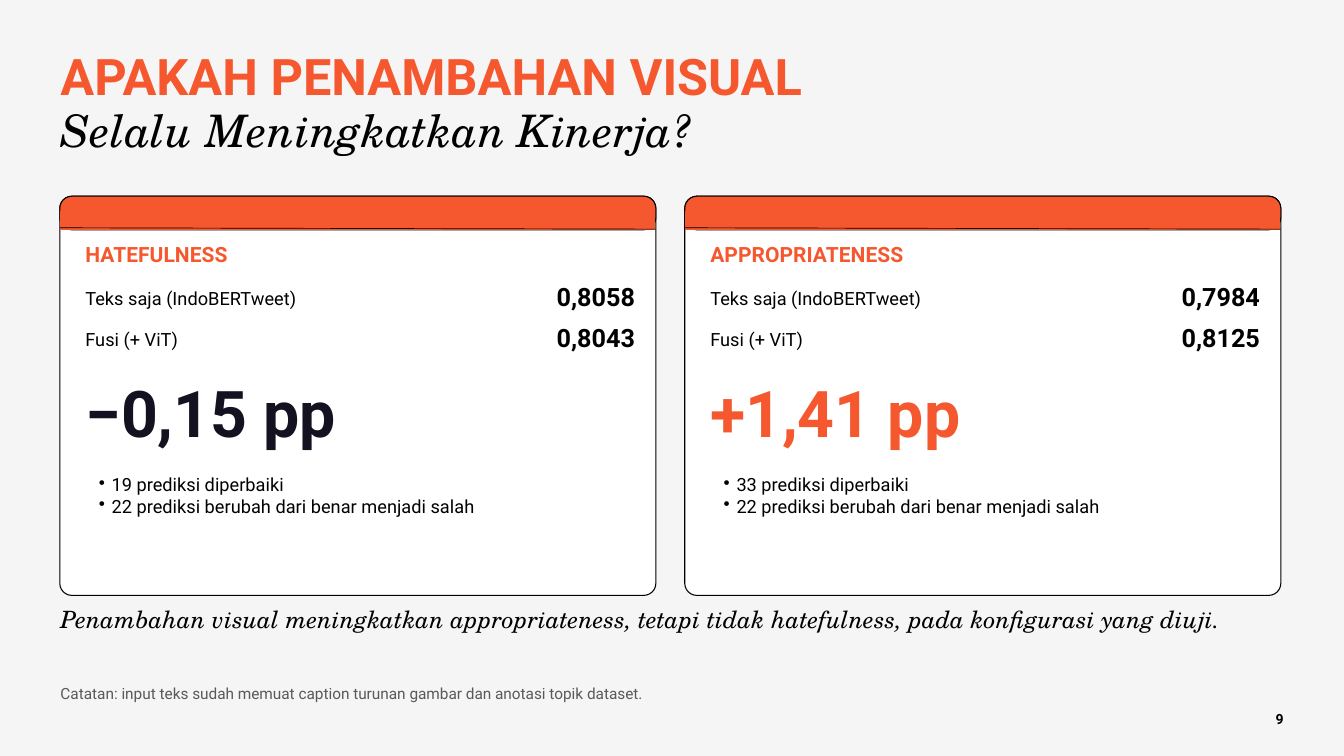
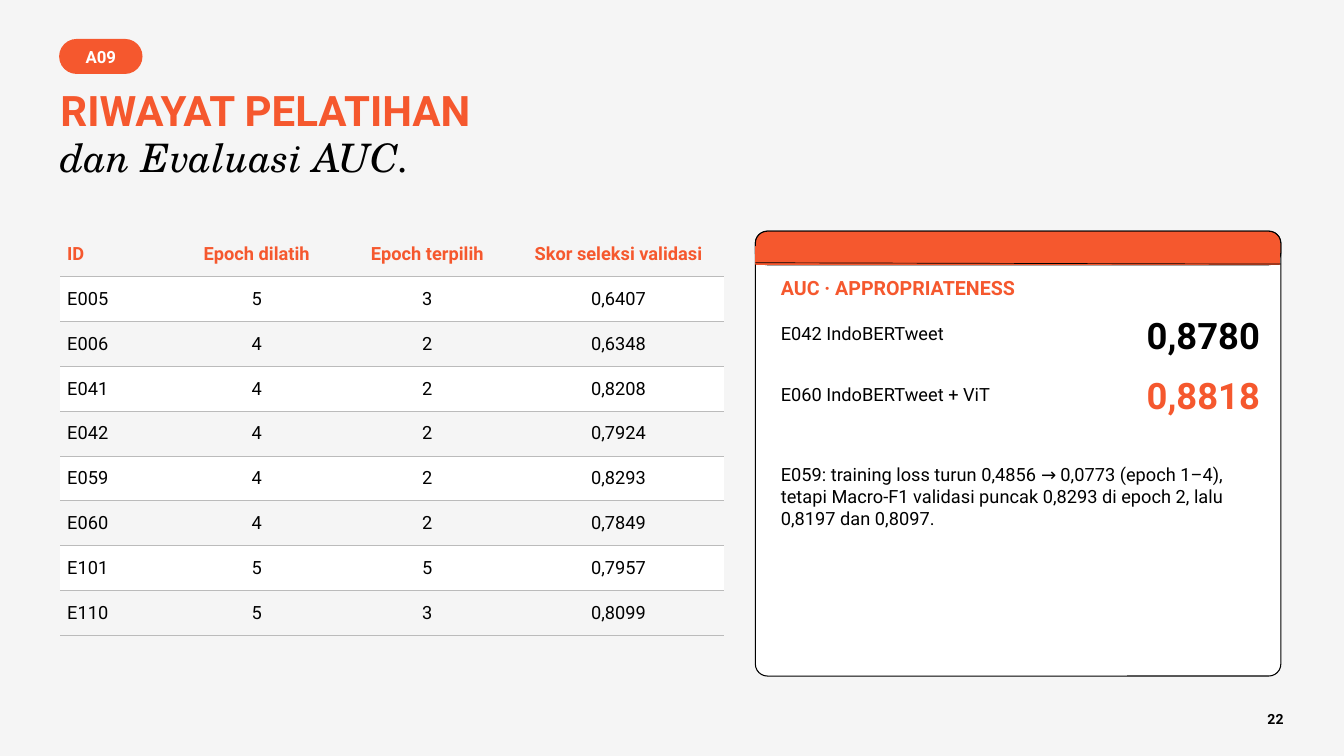
from lxml.etree import SubElement
from pptx import Presentation
from pptx.dml.color import RGBColor
from pptx.enum.shapes import MSO_CONNECTOR as Connector, MSO_SHAPE as Preset
from pptx.enum.text import MSO_ANCHOR as Anchor, MSO_AUTO_SIZE as AutoSize, PP_ALIGN as Align
from pptx.oxml.ns import qn
from pptx.util import Inches, Pt

COLORS = {
    "page": "F5F5F5", "accent": "F5582E", "ink": "000000", "night": "141221",
    "white": "FFFFFF", "muted": "595959", "rule": "BBBBBB",
}
SANS, SERIF = "Roboto", "TeX Gyre Schola"
STYLES = {
    "sans": {"name": SANS, "bold": False, "italic": False},
    "strong": {"name": SANS, "bold": True, "italic": False},
    "serif": {"name": SERIF, "bold": False, "italic": True},
}
MARGIN, CONTENT_W = 0.9, 18.15
CARD_RIGHT, CARD_PAD, SCORE_PAD = 19.06, 0.38, 0.31
CORNER, BAND_H = 0.18, 0.5
BODY_SIZE = 19.5
BULLET_INDENT, BULLET_HANG = 0.39, 0.19

HISTORY = [
    ("ID", "Epoch dilatih", "Epoch terpilih", "Skor seleksi validasi"),
    ("E005", "5", "3", "0,6407"),
    ("E006", "4", "2", "0,6348"),
    ("E041", "4", "2", "0,8208"),
    ("E042", "4", "2", "0,7924"),
    ("E059", "4", "2", "0,8293"),
    ("E060", "4", "2", "0,7849"),
    ("E101", "5", "5", "0,7957"),
    ("E110", "5", "3", "0,8099"),
]


def rgb(color):
    return RGBColor.from_string(COLORS[color])


def apply(target, values):
    for key, value in values.items():
        setattr(target, key, value)


def write(paragraph, text, size, style="sans", color="ink", align=Align.LEFT, leading=1.2):
    apply(paragraph, {"alignment": align, "line_spacing": Pt(round(size * leading, 1))})
    run = paragraph.add_run()
    run.text = text
    apply(run.font, {**STYLES[style], "size": Pt(size)})
    run.font.color.rgb = rgb(color)


def add_bullet(paragraph):
    paragraph.level = 1
    properties = paragraph._p.get_or_add_pPr()
    properties.set("marL", str(Inches(BULLET_INDENT)))
    properties.set("indent", str(-Inches(BULLET_HANG)))
    SubElement(properties, qn("a:buChar"), char="•")


def add_text(slide, box, lines, bullets=False, **look):
    frame = slide.shapes.add_textbox(*map(Inches, box)).text_frame
    apply(frame, {"word_wrap": True, "auto_size": AutoSize.SHAPE_TO_FIT_TEXT,
                  "margin_left": 0, "margin_right": 0, "margin_top": 0, "margin_bottom": 0})
    for index, line in enumerate(lines):
        paragraph = frame.add_paragraph() if index else frame.paragraphs[0]
        if bullets:
            add_bullet(paragraph)
        write(paragraph, **{**look, **line})


def add_label(slide, box, text, size=BODY_SIZE, **look):
    add_text(slide, box, [{"text": text}], size=size, **look)


def add_panel(slide, preset, box, fill, line, line_width, radius=None):
    panel = slide.shapes.add_shape(preset, *map(Inches, box))
    panel.shadow.inherit = False
    panel.fill.solid()
    panel.fill.fore_color.rgb = rgb(fill)
    panel.line.color.rgb = rgb(line)
    panel.line.width = Pt(line_width)
    if radius:
        panel.adjustments[0] = radius / min(box[2:])
    return panel


def add_rule(slide, start, end):
    rule = slide.shapes.add_connector(Connector.STRAIGHT, *map(Inches, start + end))
    rule.line.color.rgb = rgb("ink")
    rule.line.width = Pt(0.75)
    SubElement(rule._element.spPr, qn("a:effectLst"))


def add_card(slide, left, top, width, height, heading, heading_size):
    rounded = Preset.ROUNDED_RECTANGLE
    add_panel(slide, rounded, (left, top, width, height), "white", "ink", 1.13, CORNER)
    add_panel(slide, rounded, (left, top, width, BAND_H), "accent", "ink", 1.13, CORNER)
    add_panel(slide, Preset.RECTANGLE, (left + 0.01, top + 0.23, width - 0.03, 0.26),
              "accent", "accent", 1.5)
    add_rule(slide, (left, top + 0.47), (left + width, top + 0.49))
    add_label(slide, (left + CARD_PAD, top + 0.67, width - 2 * CARD_PAD, 0.46), heading,
              heading_size, style="strong", color="accent")


def add_score(slide, left, right, top, label, score, size, lift, color="ink"):
    score_w = 2.7
    add_label(slide, (left, top, 4.8, 0.45), label)
    add_label(slide, (right - score_w, top - lift, score_w, size * 1.2 / 72 + 0.09), score,
              size, style="strong", color=color, align=Align.RIGHT)


def add_comparison(slide, left, heading, scores, change, change_color, effects):
    top, width = 2.92, 8.87
    inner, inner_w = left + CARD_PAD, 8.1
    add_card(slide, left, top, width, 5.94, heading, 22.5)
    for row, (label, score) in enumerate(zip(("Teks saja (IndoBERTweet)", "Fusi (+ ViT)"), scores)):
        add_score(slide, inner, left + width - SCORE_PAD, 4.28 + 0.6 * row, label, score, 27, 0.09)
    add_label(slide, (inner, 5.55, inner_w, 1.35), change, 69, style="strong", color=change_color)
    add_text(slide, (inner, 7.05, inner_w, 1.35), [{"text": effect} for effect in effects],
             bullets=True, size=BODY_SIZE)


def add_title(slide, top, height, headline, headline_size, subline, subline_size):
    add_text(slide, (MARGIN, top, CONTENT_W, height), [
        {"text": headline, "size": headline_size, "style": "strong", "color": "accent"},
        {"text": subline, "size": subline_size, "style": "serif"},
    ], leading=1.14)


def add_tag(slide, text):
    tag = add_panel(slide, Preset.ROUNDED_RECTANGLE, (0.89, 0.59, 1.22, 0.5),
                    "accent", "accent", 1.5, 0.25)
    frame = tag.text_frame
    apply(frame, {"vertical_anchor": Anchor.MIDDLE, "margin_left": 0, "margin_right": 0,
                  "margin_top": 0, "margin_bottom": 0})
    write(frame.paragraphs[0], text, 18, "strong", "white", Align.CENTER)


def set_borders(cell, ruled_edges):
    properties = cell._tc.get_or_add_tcPr()
    for edge in ("lnL", "lnR", "lnT", "lnB"):
        ruled = edge in ruled_edges
        border = SubElement(properties, qn(f"a:{edge}"), w=str(Pt(0.5) if ruled else 0))
        fill = SubElement(border, qn("a:solidFill" if ruled else "a:noFill"))
        if ruled:
            SubElement(fill, qn("a:srgbClr"), val=COLORS["rule"])


def add_history(slide):
    column_widths, height = (1.65, 2.54, 2.54, 3.15), 6
    box = (MARGIN, 3.45, sum(column_widths), height)
    table = slide.shapes.add_table(len(HISTORY), len(column_widths), *map(Inches, box)).table
    apply(table, {"first_row": False, "horz_banding": False})
    for column, width in zip(table.columns, column_widths):
        column.width = Inches(width)
    for r, record in enumerate(HISTORY):
        table.rows[r].height = Inches(height / len(HISTORY))
        style, color = ("sans", "ink") if r else ("strong", "accent")
        for c, text in enumerate(record):
            cell = table.cell(r, c)
            inset = Inches(0.1)
            apply(cell, {"vertical_anchor": Anchor.MIDDLE, "margin_left": inset,
                         "margin_right": inset, "margin_top": inset, "margin_bottom": inset})
            set_borders(cell, ("lnT", "lnB") if r else ("lnB",))
            cell.fill.solid()
            cell.fill.fore_color.rgb = rgb("white" if r % 2 else "page")
            write(cell.text_frame.paragraphs[0], text, BODY_SIZE, style, color,
                  Align.CENTER if c else Align.LEFT)


def add_page(deck, number):
    slide = deck.slides.add_slide(deck.slide_layouts[6])
    slide.background.fill.solid()
    slide.background.fill.fore_color.rgb = rgb("page")
    add_label(slide, (17.85, 10.58, 1.25, 0.34), number, 15, style="strong", align=Align.RIGHT)
    return slide


def build_visual_effect(deck):
    slide = add_page(deck, "9")
    add_title(slide, 0.71, 1.81, "APAKAH PENAMBAHAN VISUAL", 54, "Selalu Meningkatkan Kinerja?", 48)
    worsened = "22 prediksi berubah dari benar menjadi salah"
    add_comparison(slide, 0.89, "HATEFULNESS", ("0,8058", "0,8043"), "−0,15 pp", "night",
                   ("19 prediksi diperbaiki", worsened))
    add_comparison(slide, 10.19, "APPROPRIATENESS", ("0,7984", "0,8125"), "+1,41 pp", "accent",
                   ("33 prediksi diperbaiki", worsened))
    add_label(slide, (MARGIN, 9, CONTENT_W, 0.97),
              "Penambahan visual meningkatkan appropriateness, tetapi tidak hatefulness, "
              "pada konfigurasi yang diuji.", 25.5, style="serif")
    add_label(slide, (MARGIN, 10.18, CONTENT_W, 0.36),
              "Catatan: input teks sudah memuat caption turunan gambar dan anotasi topik dataset.",
              16.5, color="muted")


def build_training_history(deck):
    slide = add_page(deck, "22")
    add_tag(slide, "A09")
    add_title(slide, 1.3, 1.55, "RIWAYAT PELATIHAN", 45, "dan Evaluasi AUC.", 42)
    add_history(slide)
    left, width = 11.24, 7.82
    inner, right = left + CARD_PAD, CARD_RIGHT - SCORE_PAD
    add_card(slide, left, 3.44, width, 6.62, "AUC · APPROPRIATENESS", 21)
    add_score(slide, inner, right, 4.8, "E042 IndoBERTweet", "0,8780", 39, 0.14)
    add_score(slide, inner, right, 5.7, "E060 IndoBERTweet + ViT", "0,8818", 39, 0.14, "accent")
    add_label(slide, (inner, 6.9, 7.05, 2.7),
              "E059: training loss turun 0,4856 → 0,0773 (epoch 1–4), tetapi Macro-F1 validasi "
              "puncak 0,8293 di epoch 2, lalu 0,8197 dan 0,8097.")


def main():
    deck = Presentation()
    apply(deck, {"slide_width": Inches(20), "slide_height": Inches(11.25)})
    build_visual_effect(deck)
    build_training_history(deck)
    deck.save("out.pptx")


if __name__ == "__main__":
    main()
